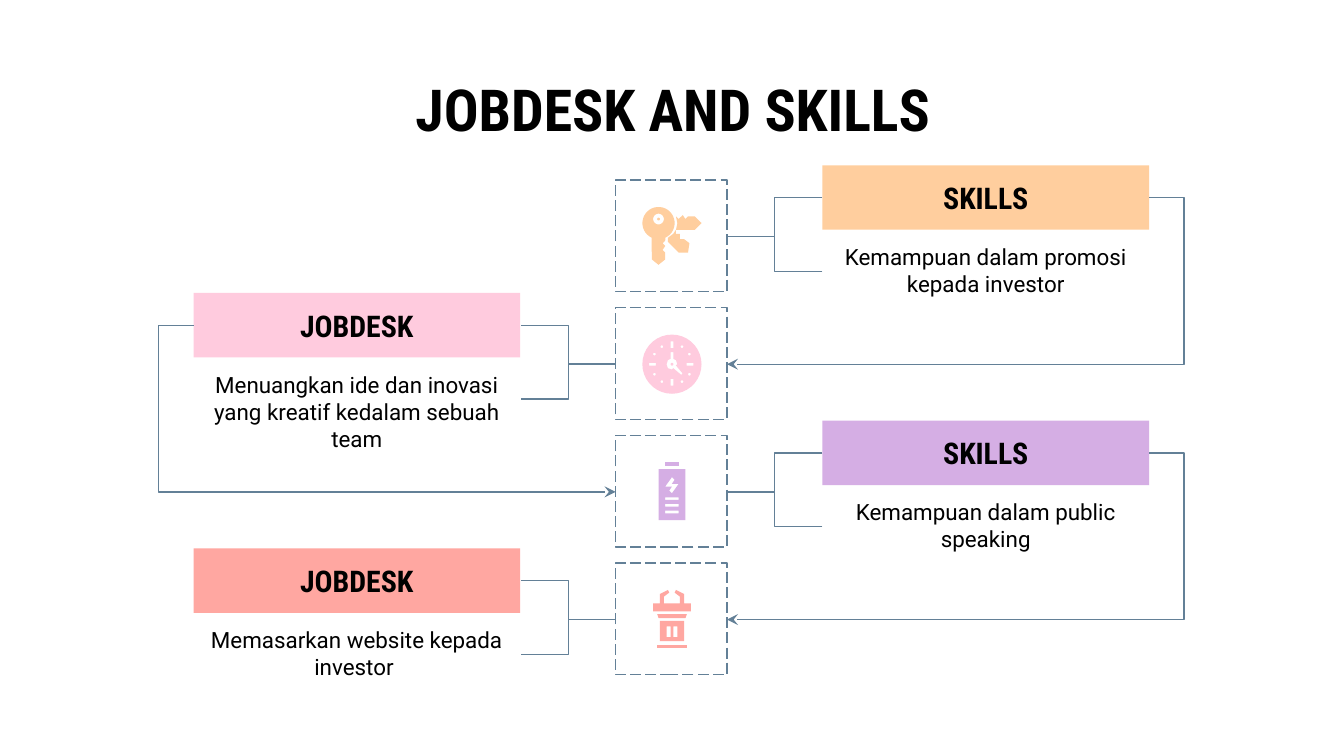
from dataclasses import dataclass
from math import cos, radians, sin

from lxml import etree
from pptx import Presentation
from pptx.dml.color import RGBColor
from pptx.enum.dml import MSO_LINE
from pptx.enum.shapes import MSO_CONNECTOR, MSO_SHAPE
from pptx.enum.text import MSO_ANCHOR, PP_ALIGN
from pptx.oxml.ns import qn
from pptx.util import Inches, Pt

CENTER = PP_ALIGN.CENTER
TOP, MIDDLE = MSO_ANCHOR.TOP, MSO_ANCHOR.MIDDLE
RECTANGLE = MSO_SHAPE.RECTANGLE
ELBOW = MSO_CONNECTOR.ELBOW
LONG_DASH = MSO_LINE.LONG_DASH


@dataclass(frozen=True)
class Theme:
    ink = RGBColor.from_string("000000")
    paper = RGBColor.from_string("FFFFFF")
    line = RGBColor.from_string("638097")
    orange = RGBColor.from_string("FFCE9E")
    pink = RGBColor.from_string("FFCBDE")
    purple = RGBColor.from_string("D5AEE4")
    coral = RGBColor.from_string("FFA7A1")
    heading_font = "Roboto Condensed"
    body_font = "Roboto"
    title_size = Pt(31)
    banner_size = Pt(16)
    body_size = Pt(12)
    line_width = Pt(0.75)


theme = Theme()


def write_text(shape, text, size, font_name, bold, anchor):
    frame = shape.text_frame
    frame.word_wrap = True
    frame.vertical_anchor = anchor
    frame.margin_left = frame.margin_right = Inches(0.1)
    frame.margin_top = frame.margin_bottom = Inches(0.1)
    para = frame.paragraphs[0]
    para.text = text
    para.alignment = CENTER
    para.font.size = size
    para.font.name = font_name
    para.font.bold = bold
    para.font.color.rgb = theme.ink


def draw_outline(color, *contours):
    builder = None
    for contour in contours:
        if isinstance(contour, list):
            points = contour
        elif len(contour) == 3:
            x, y, radius = contour
            points = [(x + radius * cos(radians(a)), y + radius * sin(radians(a)))
                      for a in range(0, 360, 10)]
        else:
            left, top, right, bottom = contour
            points = [(left, top), (left, bottom), (right, bottom), (right, top)]
        points = [(Inches(x), Inches(y)) for x, y in points]
        if builder is None:
            builder = page.shapes.build_freeform(*points[0], scale=1.0)
        else:
            builder.move_to(*points[0])
        builder.add_line_segments(points[1:], close=True)
    outline = builder.convert_to_shape()
    outline.shadow.inherit = False
    outline.fill.solid()
    outline.fill.fore_color.rgb = color
    outline.line.fill.background()


deck = Presentation()
deck.slide_width, deck.slide_height = Inches(10), Inches(10) * 9 // 16
page = deck.slides.add_slide(deck.slide_layouts[6])

title = page.shapes.add_textbox(Inches(0.5), Inches(0.45), Inches(9.01), Inches(0.62))
write_text(title, "JOBDESK AND SKILLS", theme.title_size, theme.heading_font, True, TOP)

rows = [
    ("SKILLS", "Kemampuan dalam promosi kepada investor", theme.orange),
    ("JOBDESK", "Menuangkan ide dan inovasi yang kreatif kedalam sebuah team", theme.pink),
    ("SKILLS", "Kemampuan dalam public speaking", theme.purple),
    ("JOBDESK", "Memasarkan website kepada investor ", theme.coral),
]
row_pitch = 0.95
card_width = 2.43

for index, (heading, description, color) in enumerate(rows):
    top = 1.34 + index * row_pitch
    if index % 2 == 0:
        card_left, inner_edge, outer_edge, frame_edge = 6.12, 6.12, 8.55, 5.41
    else:
        card_left, inner_edge, outer_edge, frame_edge = 1.44, 3.88, 1.44, 4.58
    heading_y, frame_y, description_y = top + 0.13, top + 0.42, top + 0.68

    body = page.shapes.add_textbox(
        Inches(card_left), Inches(top + 0.37), Inches(card_width), Inches(0.62))
    write_text(body, description, theme.body_size, theme.body_font, False, TOP)

    banner = page.shapes.add_shape(
        RECTANGLE, Inches(card_left), Inches(top - 0.11), Inches(card_width), Inches(0.48))
    banner.shadow.inherit = False
    banner.fill.solid()
    banner.fill.fore_color.rgb = color
    banner.line.fill.background()
    write_text(banner, heading, theme.banner_size, theme.heading_font, True, MIDDLE)

    icon_frame = page.shapes.add_shape(
        RECTANGLE, Inches(4.58), Inches(top), Inches(0.83), Inches(0.83))
    icon_frame.shadow.inherit = False
    icon_frame.fill.solid()
    icon_frame.fill.fore_color.rgb = theme.paper
    icon_frame.line.color.rgb = theme.line
    icon_frame.line.width = theme.line_width
    icon_frame.line.dash_style = LONG_DASH

    links = [(inner_edge, heading_y, frame_y, False), (inner_edge, description_y, frame_y, False)]
    if index < len(rows) - 1:
        links.append((outer_edge, heading_y, frame_y + row_pitch, True))
    for start_x, start_y, end_y, is_loop in links:
        link = page.shapes.add_connector(
            ELBOW, Inches(start_x), Inches(start_y), Inches(frame_edge), Inches(end_y))
        link.line.color.rgb = theme.line
        link.line.width = theme.line_width
        properties = link.element.spPr
        if is_loop:
            etree.SubElement(properties.find(qn("a:ln")), qn("a:tailEnd"), type="stealth")
            adjustments = properties.find(qn("a:prstGeom")).find(qn("a:avLst"))
            etree.SubElement(adjustments, qn("a:gd"), name="adj1", fmla="val -8300")
        etree.SubElement(properties, qn("a:effectLst"))

key_head = [(4.9 + 0.12 * cos(radians(a)), 1.66 + 0.12 * sin(radians(a)))
            for a in range(115, 426, 10)]
key_blade = [(4.95, 1.79), (4.93, 1.81), (4.95, 1.83), (4.93, 1.86),
             (4.95, 1.88), (4.95, 1.93), (4.9, 1.97), (4.85, 1.93)]
draw_outline(theme.orange, key_head + key_blade, (4.9, 1.63, 0.04))
draw_outline(theme.orange, (4.9, 1.63, 0.01))
draw_outline(theme.orange, [
    (5.03, 1.71), (5.01, 1.74), (4.97, 1.77), (4.97, 1.8), (5.05, 1.88), (5.12, 1.88),
    (5.13, 1.81), (5.09, 1.78), (5.06, 1.78), (5.06, 1.74), (5.03, 1.74)])
draw_outline(theme.orange, [
    (5.08, 1.6), (5.05, 1.63), (5.03, 1.61), (5.04, 1.66), (5.03, 1.71), (5.17, 1.71),
    (5.22, 1.66), (5.17, 1.61), (5.12, 1.61), (5.1, 1.63)])

clock_hands = [
    (5.01, 2.62), (5.01, 2.67), (5.03, 2.68), (5.04, 2.71), (5.03, 2.72), (5.08, 2.78),
    (5.07, 2.79), (5.01, 2.74), (5, 2.75), (4.97, 2.74), (4.96, 2.71), (4.97, 2.68),
    (4.99, 2.67), (4.99, 2.62)]
quarter_marks = [(4.99, 2.54, 5.01, 2.59), (4.99, 2.82, 5.01, 2.87),
                 (4.83, 2.7, 4.88, 2.72), (5.11, 2.7, 5.16, 2.72)]
hour_marks = [(5 + 0.15 * cos(radians(a)), 2.71 + 0.15 * sin(radians(a)), 0.01)
              for a in range(0, 360, 30) if a % 90]
draw_outline(theme.pink, (5, 2.71, 0.22), clock_hands, *quarter_marks, *hour_marks)
draw_outline(theme.pink, (5, 2.71, 0.01))

lightning = [(5, 3.55), (5.02, 3.57), (5, 3.6), (5.05, 3.6), (5, 3.67),
             (4.98, 3.65), (5, 3.62), (4.95, 3.62)]
charge_bars = [(4.95, y, 5.05, y + 0.02) for y in (3.7, 3.75, 3.8)]
draw_outline(theme.purple, (4.9, 3.49, 5.1, 3.87), lightning, *charge_bars)
draw_outline(theme.purple, (4.95, 3.44, 5.05, 3.47))

draw_outline(theme.coral, [
    (4.97, 4.39), (4.91, 4.42), (4.91, 4.49), (4.86, 4.49), (4.86, 4.55), (5.14, 4.55),
    (5.14, 4.49), (5.09, 4.49), (5.09, 4.42), (5.03, 4.39), (5.02, 4.41), (5.06, 4.44),
    (5.06, 4.49), (4.94, 4.49), (4.94, 4.44), (4.98, 4.41)])
draw_outline(theme.coral, [(4.89, 4.57), (4.9, 4.6), (5.1, 4.6), (5.11, 4.57)])
draw_outline(theme.coral, (4.91, 4.62, 5.09, 4.77),
             (4.96, 4.66, 4.99, 4.74), (5.01, 4.66, 5.04, 4.74))
draw_outline(theme.coral, (4.89, 4.8, 5.11, 4.82))

deck.save("out.pptx")
